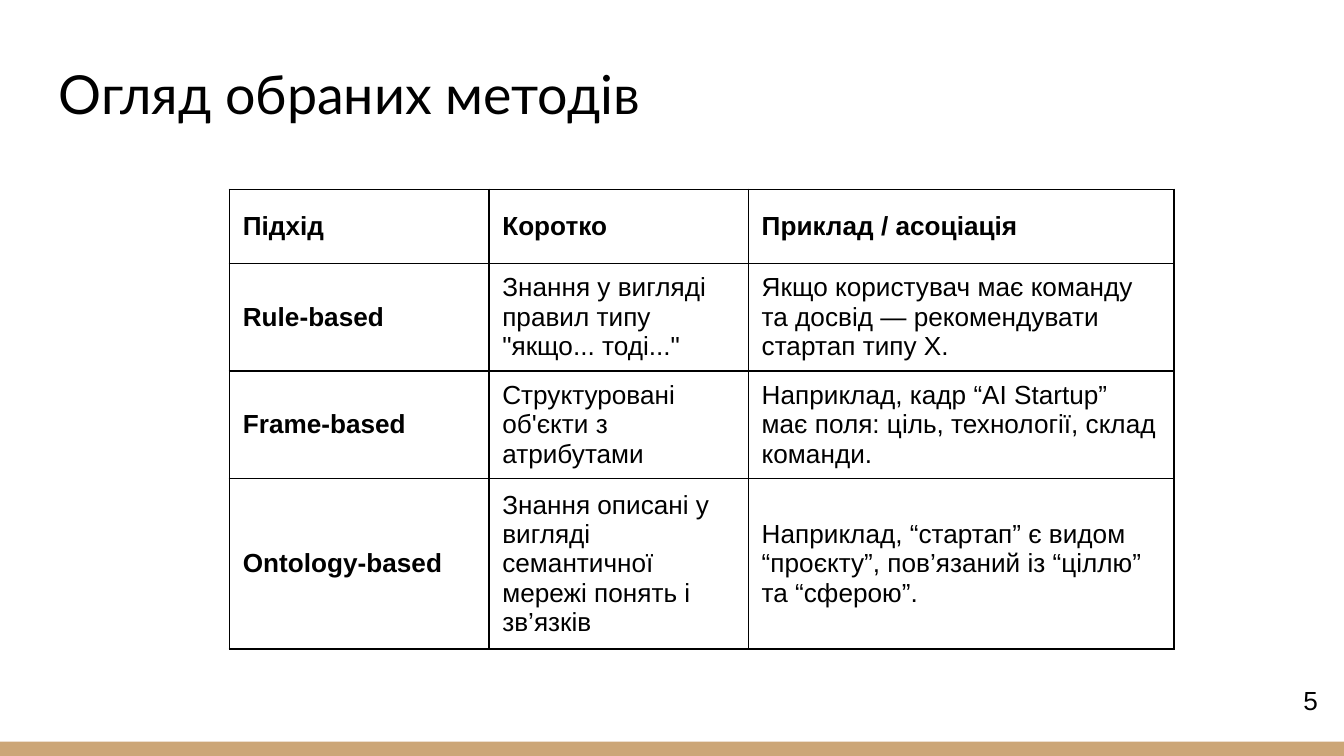
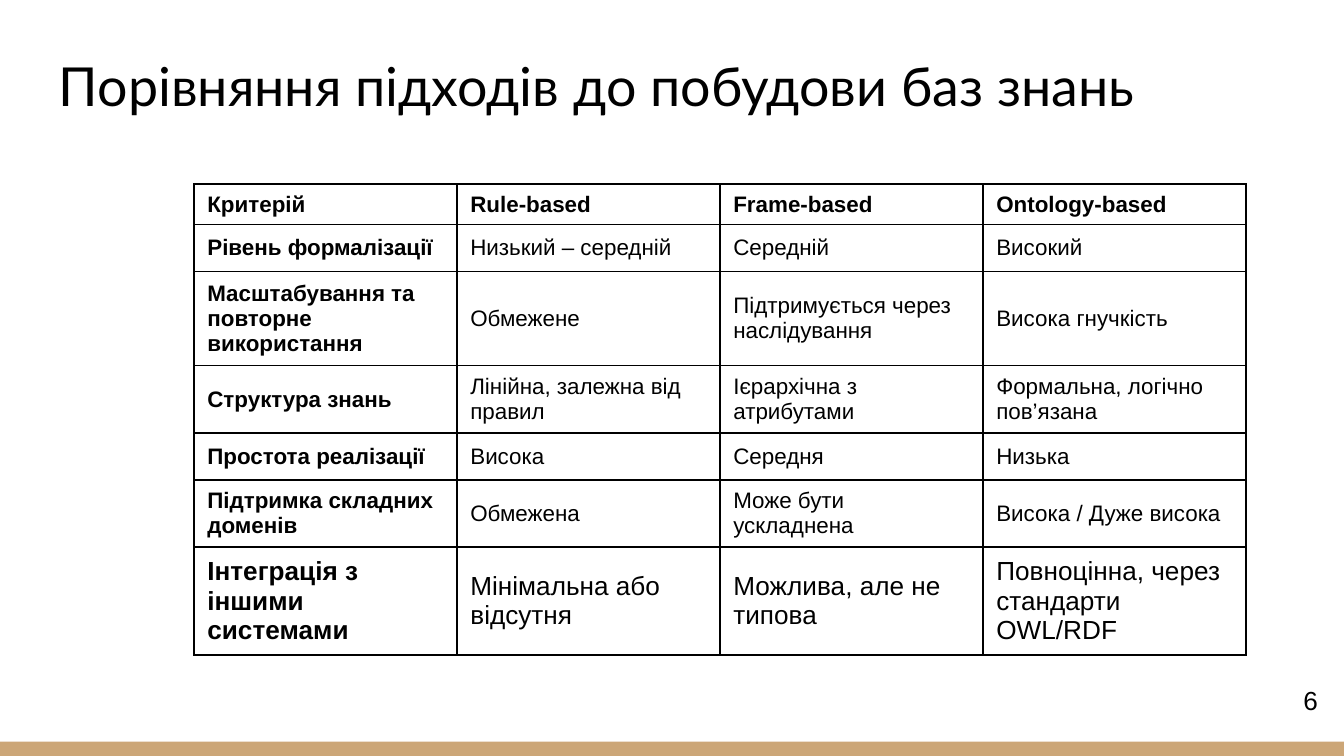
from dataclasses import dataclass

from lxml import etree
from pptx import Presentation
from pptx import util as u
from pptx.dml.color import RGBColor
from pptx.enum import shapes, text
from pptx.oxml.ns import qn


@dataclass(frozen=True)
class Theme:
    ink: str = "000000"
    paper: str = "FFFFFF"
    band: str = "CCA677"
    title_font: str = "Lato"
    body_font: str = "Arial"
    title_size: float = 28.8
    body_size: float = 14
    compact_size: float = 12
    border: float = 1


THEME = Theme()
WIDTH, HEIGHT = 720, 405
BAND_HEIGHT = 7.6

METHODS = [
    ["Підхід", "Коротко", "Приклад / асоціація"],
    ["Rule-based", "Знання у вигляді правил типу \"якщо... тоді...\"",
     "Якщо користувач має команду та досвід — рекомендувати стартап типу X."],
    ["Frame-based", "Структуровані об'єкти з атрибутами",
     "Наприклад, кадр “AI Startup” має поля: ціль, технології, склад команди."],
    ["Ontology-based", "Знання описані у вигляді семантичної мережі понять і зв’язків",
     "Наприклад, “стартап” є видом “проєкту”, пов’язаний із “ціллю” та “сферою”."],
]

COMPARISON = [
    ["Критерій", "Rule-based", "Frame-based", "Ontology-based"],
    ["Рівень формалізації", "Низький – середній", "Середній", "Високий"],
    ["Масштабування та повторне використання", "Обмежене",
     "Підтримується через наслідування", "Висока гнучкість"],
    ["Структура знань", "Лінійна, залежна від правил", "Ієрархічна з атрибутами",
     "Формальна, логічно пов’язана"],
    ["Простота реалізації", "Висока", "Середня", "Низька"],
    ["Підтримка складних доменів", "Обмежена", "Може бути ускладнена",
     "Висока / Дуже висока"],
    ["Інтеграція з іншими системами", "Мінімальна або відсутня",
     "Можлива, але не типова", "Повноцінна, через стандарти OWL/RDF"],
]


def apply(target, values):
    for name, value in values.items():
        setattr(target, name, value)


def write(frame, words, font, size, bold=False):
    span = frame.paragraphs[0].add_run()
    span.text = words
    apply(span.font, {"name": font, "size": u.Pt(size), "bold": bold})
    span.font.color.rgb = RGBColor.from_string(THEME.ink)


def paint(target, colour):
    target.fill.solid()
    target.fill.fore_color.rgb = RGBColor.from_string(colour)


def add_band(page):
    band = page.shapes.add_shape(
        shapes.MSO_SHAPE.RECTANGLE, 0, u.Pt(HEIGHT - BAND_HEIGHT), u.Pt(WIDTH), u.Pt(BAND_HEIGHT))
    band.shadow.inherit = False
    paint(band, THEME.band)
    band.line.fill.background()


def add_title(page, words, height):
    box = page.shapes.add_textbox(u.Pt(24.5), u.Pt(25.2), u.Pt(671), u.Pt(height))
    inset = u.Pt(7.2)
    apply(box.text_frame, {
        "word_wrap": True, "vertical_anchor": text.MSO_ANCHOR.BOTTOM,
        "margin_left": inset, "margin_right": inset,
        "margin_top": inset, "margin_bottom": inset})
    write(box.text_frame, words, THEME.title_font, THEME.title_size)


def add_page_number(page, number):
    box = page.shapes.add_textbox(u.Pt(691.2), u.Pt(363), u.Pt(22.3), u.Pt(24.3))
    apply(box.text_frame, {"word_wrap": False, "auto_size": text.MSO_AUTO_SIZE.SHAPE_TO_FIT_TEXT})
    write(box.text_frame, str(number), THEME.body_font, THEME.body_size)


def add_borders(cell):
    properties = cell._tc.get_or_add_tcPr()
    for side in ("a:lnL", "a:lnR", "a:lnT", "a:lnB"):
        line = etree.SubElement(properties, qn(side), w=str(u.Pt(THEME.border)))
        fill = etree.SubElement(line, qn("a:solidFill"))
        etree.SubElement(fill, qn("a:srgbClr"), val=THEME.ink)


def add_grid(page, rows, left, top, widths, heights, sizes):
    table = page.shapes.add_table(
        len(rows), len(widths), u.Pt(left), u.Pt(top), u.Pt(sum(widths)), u.Pt(sum(heights))).table
    apply(table, {"first_row": False, "horz_banding": False})
    for column, width in zip(table.columns, widths):
        column.width = u.Pt(width)
    for r, (row, height, size) in enumerate(zip(rows, heights, sizes)):
        table.rows[r].height = u.Pt(height)
        for c, words in enumerate(row):
            cell = table.cell(r, c)
            add_borders(cell)
            paint(cell, THEME.paper)
            cell.vertical_anchor = text.MSO_ANCHOR.MIDDLE
            write(cell.text_frame, words, THEME.body_font, size, bold=r == 0 or c == 0)


def add_page(deck, title, title_height, number):
    page = deck.slides.add_slide(deck.slide_layouts[6])
    paint(page.background, THEME.paper)
    add_band(page)
    add_title(page, title, title_height)
    add_page_number(page, number)
    return page


def main():
    deck = Presentation()
    apply(deck, {"slide_width": u.Pt(WIDTH), "slide_height": u.Pt(HEIGHT)})

    methods = add_page(deck, "Огляд обраних методів", 49, 5)
    add_grid(methods, METHODS, 122.9, 101.5, [139, 139, 228.2],
             [39.6, 53.3, 53.3, 62.6], [THEME.body_size] * len(METHODS))

    comparison = add_page(deck, "Порівняння підходів до побудови баз знань", 44.6, 6)
    add_grid(comparison, COMPARISON, 103.9, 98.6, [140.9] * 4,
             [15.8, 25.2, 35.3, 35.3, 25.2, 35.3, 51.8],
             [THEME.compact_size] * (len(COMPARISON) - 1) + [THEME.body_size])

    deck.save("out.pptx")


if __name__ == "__main__":
    main()
